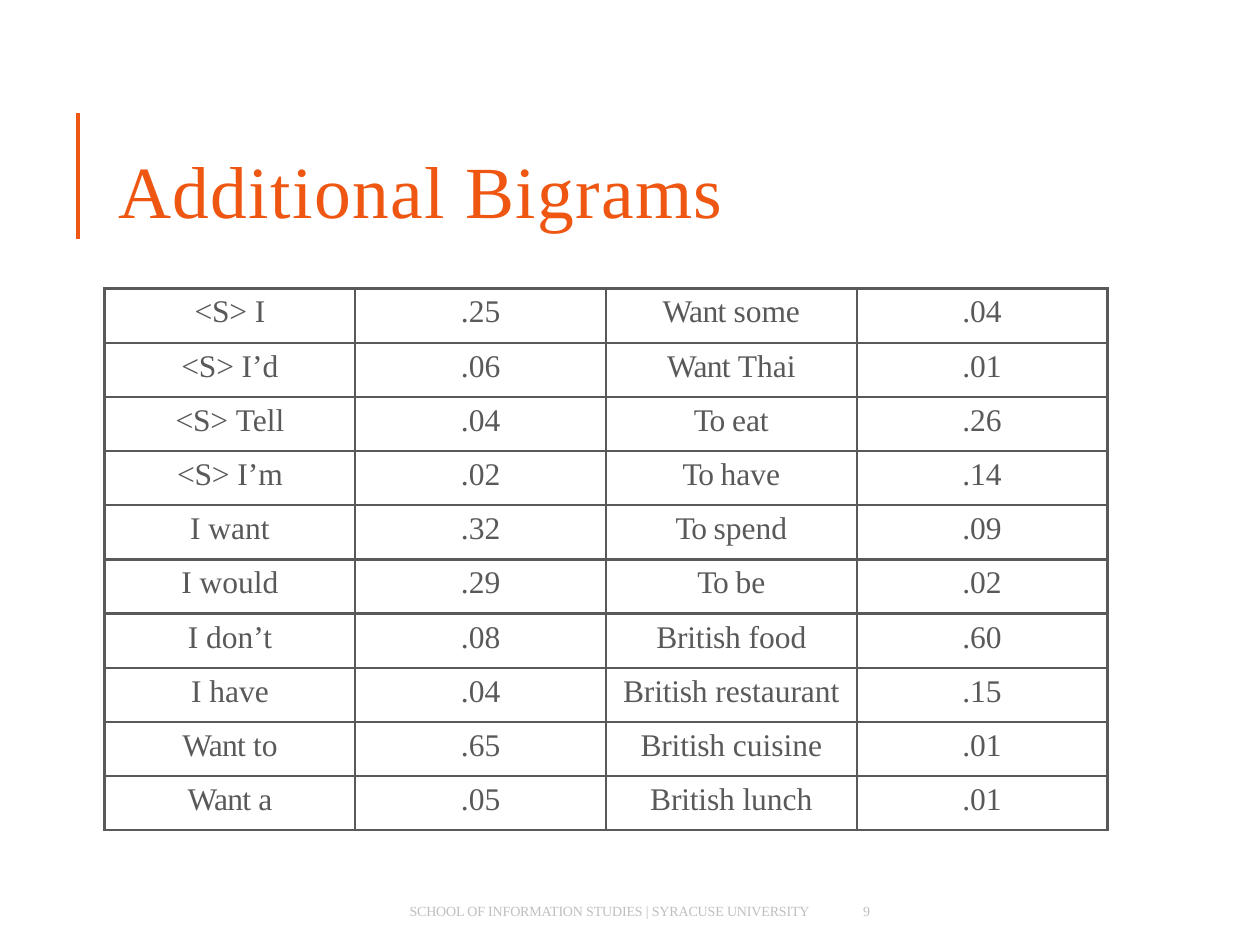
from dataclasses import dataclass

from lxml import etree
from pptx import Presentation
from pptx.dml.color import RGBColor
from pptx.enum.shapes import MSO_CONNECTOR
from pptx.enum.text import MSO_ANCHOR, PP_ALIGN
from pptx.oxml.ns import qn
from pptx.util import Inches, Pt

STRAIGHT = MSO_CONNECTOR.STRAIGHT
TOP = MSO_ANCHOR.TOP
LEFT, CENTER = PP_ALIGN.LEFT, PP_ALIGN.CENTER


@dataclass(frozen=True)
class Theme:
    font: str = "Times New Roman"
    accent: str = "EE5612"
    body: str = "595959"
    muted: str = "BFBFBF"
    title_size: float = 42
    table_size: float = 18
    footer_size: float = 8
    border_width: float = 1.5
    accent_width: float = 2


@dataclass(frozen=True)
class Label:
    text: str
    left: float
    top: float
    width: float
    height: float
    size: float
    color: str
    inset_left: float = 0.01
    inset_top: float = 0
    spacing: float = 0


@dataclass(frozen=True)
class Bigram:
    words: str
    probability: str


THEME = Theme()

LABELS = [
    Label("Additional Bigrams", 0.93, 1.08, 4.88, 0.73, THEME.title_size,
          THEME.accent, inset_top=0.07, spacing=0.8),
    Label("SCHOOL OF INFORMATION STUDIES | SYRACUSE UNIVERSITY", 3.24, 7.16,
          3.28, 0.15, THEME.footer_size, THEME.muted, spacing=-0.1),
    Label("9", 6.81, 7.16, 0.19, 0.15, THEME.footer_size, THEME.muted,
          inset_left=0.04),
]

LEFT_BIGRAMS = [
    Bigram("<S> I", ".25"),
    Bigram("<S> I’d", ".06"),
    Bigram("<S> Tell", ".04"),
    Bigram("<S> I’m", ".02"),
    Bigram("I want", ".32"),
    Bigram("I would", ".29"),
    Bigram("I don’t", ".08"),
    Bigram("I have", ".04"),
    Bigram("Want to", ".65"),
    Bigram("Want a", ".05"),
]
RIGHT_BIGRAMS = [
    Bigram("Want some", ".04"),
    Bigram("Want Thai", ".01"),
    Bigram("To eat", ".26"),
    Bigram("To have", ".14"),
    Bigram("To spend", ".09"),
    Bigram("To be", ".02"),
    Bigram("British food", ".60"),
    Bigram("British restaurant", ".15"),
    Bigram("British cuisine", ".01"),
    Bigram("British lunch", ".01"),
]

# First words that are set tighter than the rest, in points
WORD_SPACING = {"<S>": -0.1, "Want": -0.4, "To": -0.7, "British": -0.1}

TABLE_LEFT, TABLE_TOP = 0.83, 2.29
COLUMN_WIDTH, ROW_HEIGHT = 1.99, 0.43


def add_text(paragraph, text: str, *, size: float, color: str,
             spacing: float = 0, alignment=LEFT) -> None:
    """Add one formatted run; spacing is the letter spacing in points."""
    paragraph.alignment = alignment
    run = paragraph.add_run()
    run.text = text
    run.font.name = THEME.font
    run.font.size = Pt(size)
    run.font.color.rgb = RGBColor.from_string(color)
    if spacing:
        run.font._element.set("spc", str(round(spacing * 100)))


def add_label(slide, label: Label) -> None:
    shape = slide.shapes.add_textbox(Inches(label.left), Inches(label.top),
                                     Inches(label.width), Inches(label.height))
    frame = shape.text_frame
    frame.word_wrap = False
    frame.vertical_anchor = TOP
    frame.margin_left, frame.margin_top = Inches(label.inset_left), Inches(label.inset_top)
    frame.margin_right = frame.margin_bottom = 0
    add_text(frame.paragraphs[0], label.text, size=label.size,
             color=label.color, spacing=label.spacing)


def add_accent_line(slide) -> None:
    line = slide.shapes.add_connector(STRAIGHT, Inches(0.62), Inches(1.9),
                                      Inches(0.62), Inches(0.9))
    line.line.color.rgb = RGBColor.from_string(THEME.accent)
    line.line.width = Pt(THEME.accent_width)
    etree.SubElement(line._element.spPr, qn("a:effectLst"))


def set_borders(cell) -> None:
    properties = cell._tc.get_or_add_tcPr()
    for position, side in enumerate(("a:lnL", "a:lnR", "a:lnT", "a:lnB")):
        border = etree.Element(qn(side), w=str(Pt(THEME.border_width)))
        fill = etree.SubElement(border, qn("a:solidFill"))
        etree.SubElement(fill, qn("a:srgbClr"), val=THEME.body)
        properties.insert(position, border)


def fill_cell(cell, text: str) -> None:
    cell.fill.background()
    cell.vertical_anchor = TOP
    cell.margin_left = cell.margin_right = cell.margin_bottom = 0
    cell.margin_top = Inches(0.05)
    set_borders(cell)
    first, space, second = text.partition(" ")
    for part in (first + space, second):
        if part:
            add_text(cell.text_frame.paragraphs[0], part, size=THEME.table_size,
                     color=THEME.body, alignment=CENTER,
                     spacing=WORD_SPACING.get(part.strip(), 0))


def add_bigram_table(slide) -> None:
    rows = [(left.words, left.probability, right.words, right.probability)
            for left, right in zip(LEFT_BIGRAMS, RIGHT_BIGRAMS)]
    column_count = len(rows[0])
    table = slide.shapes.add_table(
        len(rows), column_count, Inches(TABLE_LEFT), Inches(TABLE_TOP),
        Inches(COLUMN_WIDTH * column_count), Inches(ROW_HEIGHT * len(rows))).table
    table.first_row = table.horz_banding = False
    for row_index, row in enumerate(rows):
        for column_index, text in enumerate(row):
            fill_cell(table.cell(row_index, column_index), text)


def main() -> None:
    presentation = Presentation()
    presentation.slide_width, presentation.slide_height = Inches(10), Inches(7.5)
    slide = presentation.slides.add_slide(presentation.slide_layouts[6])

    # Accent line, then title and footer
    add_accent_line(slide)
    for label in LABELS:
        add_label(slide, label)

    # Bigram probabilities
    add_bigram_table(slide)
    presentation.save("out.pptx")


if __name__ == "__main__":
    main()
